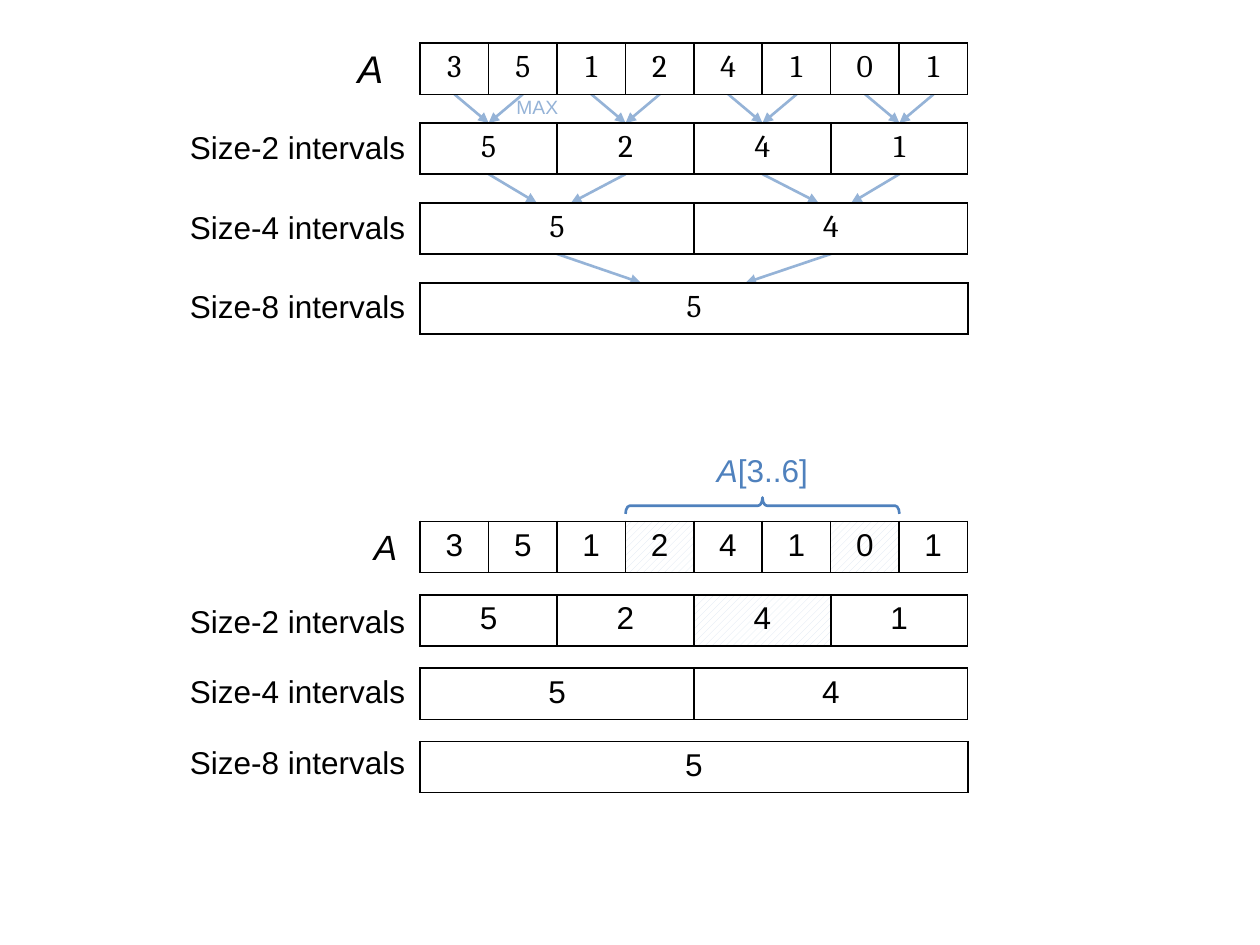
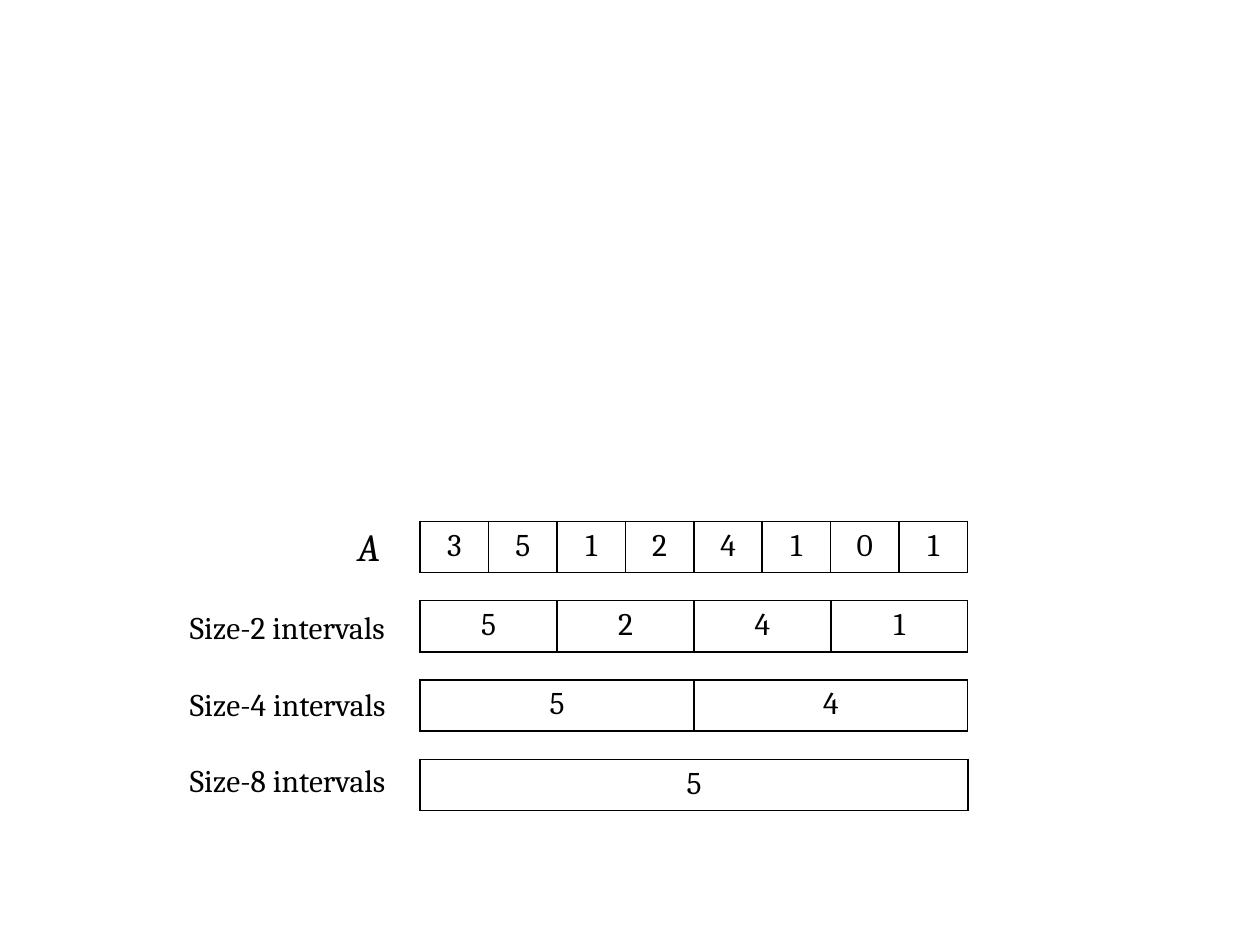
from dataclasses import dataclass

from lxml import etree
from pptx import Presentation
from pptx.dml.color import RGBColor
from pptx.enum.dml import MSO_PATTERN
from pptx.enum.shapes import MSO_CONNECTOR, MSO_SHAPE
from pptx.enum.text import MSO_AUTO_SIZE, PP_ALIGN
from pptx.oxml.ns import qn
from pptx.util import Cm, Pt

HATCH = MSO_PATTERN.WIDE_UPWARD_DIAGONAL
STRAIGHT = MSO_CONNECTOR.STRAIGHT
LEFT_BRACE = MSO_SHAPE.LEFT_BRACE
GROW = MSO_AUTO_SIZE.SHAPE_TO_FIT_TEXT
CENTER = PP_ALIGN.CENTER

BLACK, WHITE = "000000", "FFFFFF"
ARROW_BLUE, RANGE_BLUE, HATCH_BLUE = "95B3D7", "4F81BD", "DCE6F2"
SANS, SERIF = "Arial", "Cambria"

# Shared grid, in centimetres
ARRAY = [3, 5, 1, 2, 4, 1, 0, 1]
GRID_LEFT, UNIT_WIDTH, ROW_HEIGHT = 8.47, 1.38, 1.03
LABEL_LEFT, LABEL_HEIGHT = 3.58, 1.02


@dataclass(frozen=True)
class Box:
    left: float
    top: float
    width: float
    height: float

    def lengths(self) -> tuple:
        return Cm(self.left), Cm(self.top), Cm(self.width), Cm(self.height)


@dataclass(frozen=True)
class IntervalDiagram:
    top: float
    pitch: float
    value_font: str
    label_font: str
    label_top: float
    label_pitch: float
    label_width: float
    array_box: Box
    array_size: int
    hatched: tuple = ()  # (level, index) of the cells that cover the range

    def row_top(self, level: int) -> float:
        return self.top + level * self.pitch


MAX_TREE = IntervalDiagram(0.87, 1.61, SERIF, SANS, 2.46, 1.6, 4.9,
                           Box(6.96, 0.79, 1.04, 1.19), 22)
RANGE_QUERY = IntervalDiagram(10.51, 1.48, SANS, SANS, 12.01, 1.42, 4.9,
                              Box(7.29, 10.46, 0.99, 1.12), 20,
                              ((0, 3), (0, 6), (1, 2)))
PLAIN_TREE = IntervalDiagram(10.51, 1.6, SERIF, SERIF, 12.14, 1.54, 4.72,
                             Box(6.96, 10.41, 0.99, 1.19), 22)

# Where each pair of arrows lands, relative to the middle of its parent cell
ARROW_LANDINGS = [
    [(0, 0)] * 4,
    [(-0.41, 0.28), (-0.25, 0.41)],
    [(-1.07, 1.04)],
]


def rgb(value: str) -> RGBColor:
    return RGBColor.from_string(value)


def max_levels(values: list) -> list:
    """The array, then the maxima of ever larger intervals."""
    levels = [values]
    while len(levels[-1]) > 1:
        below = levels[-1]
        levels.append([max(pair) for pair in zip(below[::2], below[1::2])])
    return levels


def cell_middle(level: int, index: int) -> float:
    return GRID_LEFT + (index + 0.5) * UNIT_WIDTH * 2 ** level


def set_font(font, name: str, size: int, color: str) -> None:
    font.name = name
    font.size = Pt(size)
    font.color.rgb = rgb(color)


def add_label(slide, box: Box, text: str, font: str, size: int,
              color: str = BLACK, italic: bool = False):
    label = slide.shapes.add_textbox(*box.lengths())
    label.text_frame.word_wrap = False
    label.text_frame.auto_size = GROW
    paragraph = label.text_frame.paragraphs[0]
    paragraph.add_run().text = text
    set_font(paragraph.font, font, size, color)
    if italic:
        paragraph.runs[0].font.italic = True
    return paragraph


def add_borders(cell) -> None:
    properties = cell._tc.get_or_add_tcPr()
    for side in ("a:lnL", "a:lnR", "a:lnT", "a:lnB"):
        border = etree.SubElement(properties, qn(side), w=str(Pt(1)))
        fill = etree.SubElement(border, qn("a:solidFill"))
        etree.SubElement(fill, qn("a:srgbClr"), val=BLACK)


def fill_cell(cell, hatched: bool) -> None:
    if hatched:
        cell.fill.patterned()
        cell.fill.pattern = HATCH
        cell.fill.fore_color.rgb = rgb(HATCH_BLUE)
        cell.fill.back_color.rgb = rgb(WHITE)
    else:
        cell.fill.solid()
        cell.fill.fore_color.rgb = rgb(WHITE)


def add_interval_row(slide, diagram: IntervalDiagram, level: int,
                     values: list) -> None:
    box = Box(GRID_LEFT, diagram.row_top(level),
              UNIT_WIDTH * len(ARRAY), ROW_HEIGHT)
    table = slide.shapes.add_table(1, len(values), *box.lengths()).table
    table.first_row = False
    table.horz_banding = False
    for index, value in enumerate(values):
        table.columns[index].width = Cm(UNIT_WIDTH * 2 ** level)
        cell = table.cell(0, index)
        add_borders(cell)
        fill_cell(cell, (level, index) in diagram.hatched)
        cell.text = str(value)
        paragraph = cell.text_frame.paragraphs[0]
        paragraph.alignment = CENTER
        set_font(paragraph.font, diagram.value_font, 18, BLACK)


def add_diagram(slide, diagram: IntervalDiagram) -> None:
    add_label(slide, diagram.array_box, "A", diagram.label_font,
              diagram.array_size, italic=True)
    for level, values in enumerate(max_levels(ARRAY)):
        if level:
            top = diagram.label_top + (level - 1) * diagram.label_pitch
            add_label(slide,
                      Box(LABEL_LEFT, top, diagram.label_width, LABEL_HEIGHT),
                      f"Size-{2 ** level} intervals", diagram.label_font, 18)
        add_interval_row(slide, diagram, level, values)


def add_arrow(slide, x1: float, y1: float, x2: float, y2: float) -> None:
    arrow = slide.shapes.add_connector(STRAIGHT, Cm(x1), Cm(y1), Cm(x2), Cm(y2))
    arrow.line.color.rgb = rgb(ARROW_BLUE)
    arrow.line.width = Pt(1.5)
    etree.SubElement(arrow.line._get_or_add_ln(), qn("a:tailEnd"), type="triangle")
    etree.SubElement(arrow._element.spPr, qn("a:effectLst"))


def add_max_arrows(slide, diagram: IntervalDiagram) -> None:
    for level, landings in enumerate(ARROW_LANDINGS):
        start = diagram.row_top(level) + ROW_HEIGHT
        end = diagram.row_top(level + 1)
        for parent, offsets in enumerate(landings):
            for side, offset in enumerate(offsets):
                add_arrow(slide, cell_middle(level, 2 * parent + side), start,
                          cell_middle(level + 1, parent) + offset, end)


def add_range_brace(slide, first: int, last: int) -> None:
    span, depth, top = (last - first + 1) * UNIT_WIDTH, 0.33, 10.03
    middle = GRID_LEFT + first * UNIT_WIDTH + span / 2
    # The upright brace is turned a quarter about its centre
    box = Box(middle - depth / 2, top + depth / 2 - span / 2, depth, span)
    brace = slide.shapes.add_shape(LEFT_BRACE, *box.lengths())
    brace.rotation = 90
    brace.adjustments[0] = 0.26
    brace.shadow.inherit = False
    brace.fill.background()
    brace.line.color.rgb = rgb(RANGE_BLUE)
    brace.line.width = Pt(1.5)

    name = add_label(slide, Box(14.2, 8.97, 2.36, LABEL_HEIGHT), "A", SANS, 18,
                     RANGE_BLUE, italic=True)
    name.add_run().text = f"[{first}..{last}]"


def main() -> None:
    deck = Presentation()
    deck.slide_width, deck.slide_height = Cm(25.4), Cm(19.05)
    blank = deck.slide_layouts[6]

    # Building the tree of maxima, and a query over it
    query_slide = deck.slides.add_slide(blank)
    add_max_arrows(query_slide, MAX_TREE)
    add_diagram(query_slide, MAX_TREE)
    add_diagram(query_slide, RANGE_QUERY)
    add_range_brace(query_slide, 3, 6)
    add_label(query_slide, Box(10.16, 1.8, 1.37, 0.74), "MAX", SANS, 11, ARROW_BLUE)

    # The tree alone
    add_diagram(deck.slides.add_slide(blank), PLAIN_TREE)

    deck.save("out.pptx")


if __name__ == "__main__":
    main()
